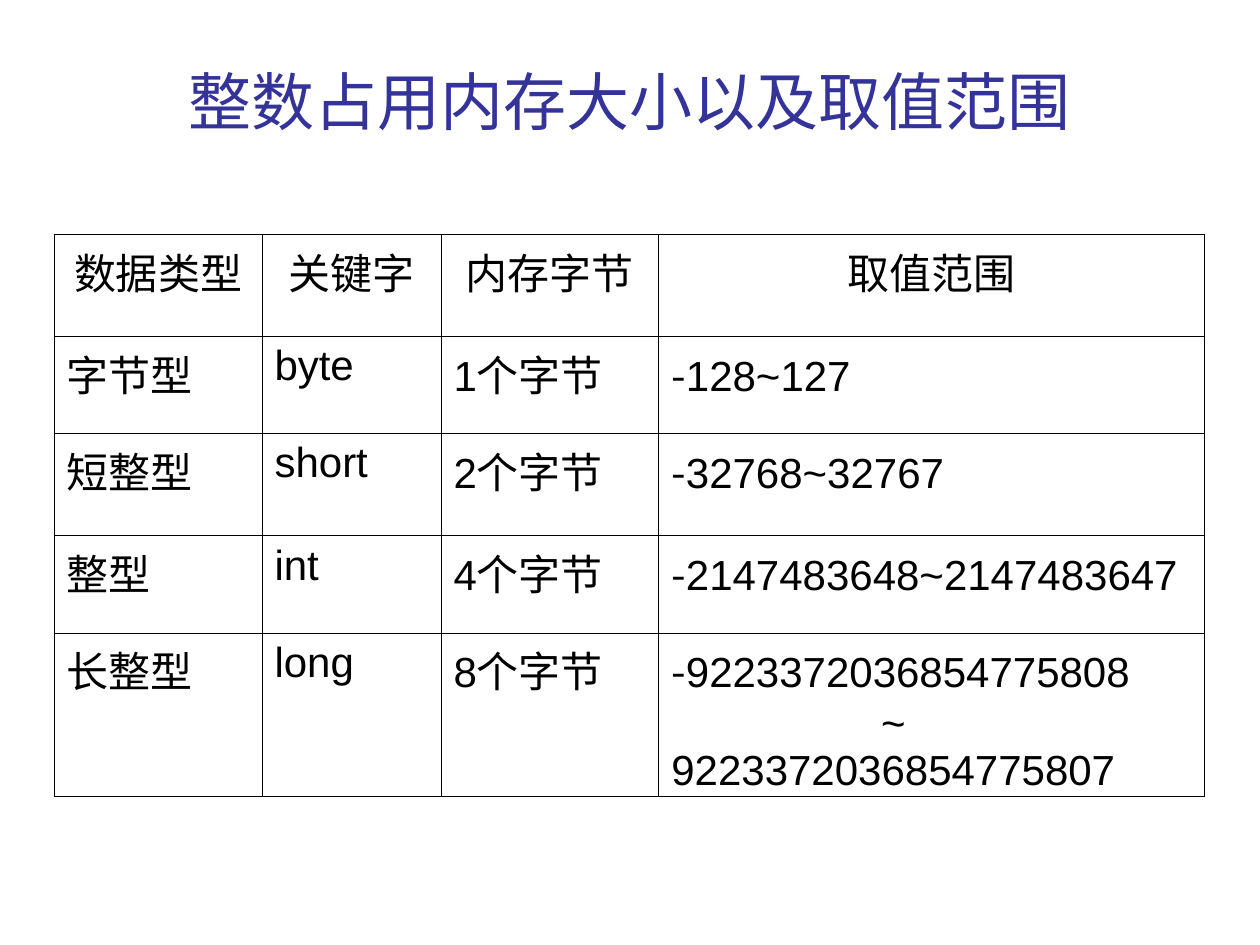
"""Build a slide with a table of integer types, their sizes and ranges."""
from lxml import etree
from pptx import Presentation
from pptx.dml.color import RGBColor
from pptx.enum.text import MSO_ANCHOR, PP_ALIGN
from pptx.oxml.ns import qn
from pptx.util import Cm, Pt

MIDDLE = MSO_ANCHOR.MIDDLE
LEFT, CENTER = PP_ALIGN.LEFT, PP_ALIGN.CENTER
BLACK = RGBColor(0, 0, 0)
BLUE = RGBColor(0x33, 0x33, 0x99)
LATIN, ASIAN = "Arial", "Noto Sans CJK SC"

TITLE = "整数占用内存大小以及取值范围"
ROWS = [
    ("数据类型", "关键字", "内存字节", "取值范围"),
    ("字节型", "byte", "1个字节", "-128~127"),
    ("短整型", "short", "2个字节", "-32768~32767"),
    ("整型", "int", "4个字节", "-2147483648~2147483647"),
    ("长整型", "long", "8个字节",
     "-9223372036854775808\n~\n9223372036854775807"),
]
WIDTHS = [4.19, 3.61, 4.39, 11]
HEIGHTS = [2.06, 1.96, 2.06, 1.96, 3.3]
INDENT = Cm(4.23)
EDGE = Pt(0.45)


def add_run(para, text, size, color, face=LATIN):
    run = para.add_run()
    run.text = text
    for name, value in {"size": Pt(size), "name": face}.items():
        setattr(run.font, name, value)
    run.font.color.rgb = color
    props = run.font._element
    etree.SubElement(props, qn("a:ea")).set("typeface", ASIAN)


def add_text(frame, text, size, color, align):
    for i, line in enumerate(text.split("\n")):
        para = frame.add_paragraph() if i else frame.paragraphs[0]
        para.alignment = align
        if line == "~":
            para._p.get_or_add_pPr().set("marL", str(INDENT))
        if line.startswith("-"):
            add_run(para, "-", size, color, ASIAN)
            line = line[1:]
        add_run(para, line, size, color)


def set_edges(cell):
    props = cell._tc.get_or_add_tcPr()
    for i, side in enumerate(("lnL", "lnR", "lnT", "lnB")):
        line = etree.Element(qn("a:" + side), w=str(EDGE))
        fill = etree.SubElement(line, qn("a:solidFill"))
        etree.SubElement(fill, qn("a:srgbClr")).set("val", str(BLACK))
        props.insert(i, line)


def add_title(slide):
    box = slide.shapes.add_textbox(Cm(1.3), Cm(1.14), Cm(22.8), Cm(1.78))
    frame = box.text_frame
    for name, value in {"word_wrap": True, "vertical_anchor": MIDDLE}.items():
        setattr(frame, name, value)
    add_text(frame, TITLE, 36, BLUE, CENTER)


def add_grid(slide):
    shape = slide.shapes.add_table(
        len(ROWS), len(WIDTHS), Cm(1.09), Cm(4.72),
        Cm(sum(WIDTHS)), Cm(sum(HEIGHTS)))
    table = shape.table
    for name in ("first_row", "horz_banding"):
        setattr(table, name, False)
    for col, width in zip(table.columns, WIDTHS):
        col.width = Cm(width)
    for r, (texts, height) in enumerate(zip(ROWS, HEIGHTS)):
        table.rows[r].height = Cm(height)
        for c, text in enumerate(texts):
            cell = table.cell(r, c)
            cell.fill.background()
            set_edges(cell)
            add_text(cell.text_frame, text, 24, BLACK, LEFT if r else CENTER)


def main():
    deck = Presentation()
    deck.slide_width, deck.slide_height = Cm(25.4), Cm(19.05)
    slide = deck.slides.add_slide(deck.slide_layouts[6])
    add_title(slide)
    add_grid(slide)
    deck.save("out.pptx")


if __name__ == "__main__":
    main()
